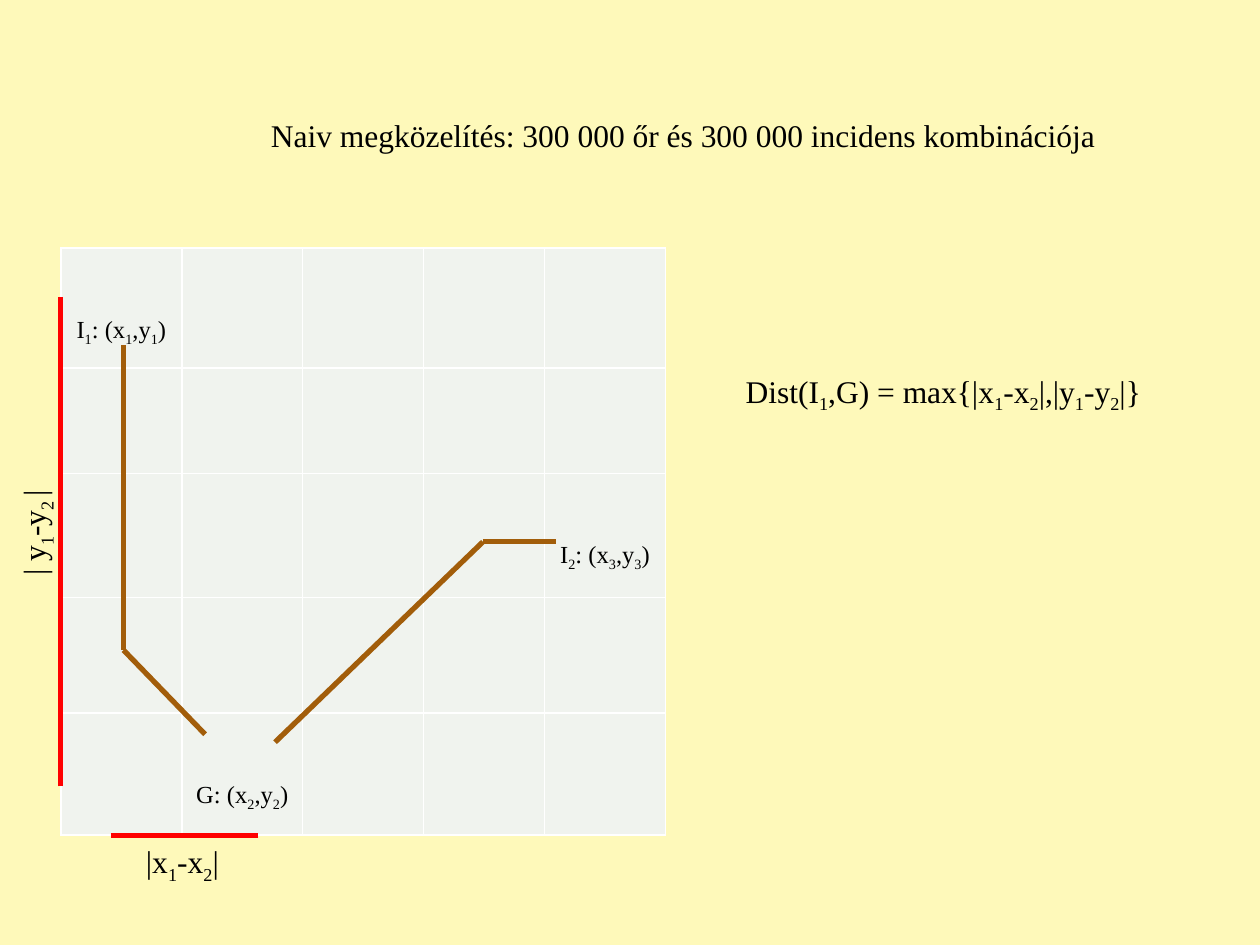
from lxml import etree
from pptx import Presentation
from pptx.dml.color import RGBColor
from pptx.enum import shapes, text
from pptx.oxml import ns
from pptx.util import Pt

CREAM = RGBColor(0xFE, 0xF9, 0xBA)
MIST = RGBColor(0xF0, 0xF3, 0xEE)
WHITE = RGBColor(0xFF, 0xFF, 0xFF)
BLACK = RGBColor(0, 0, 0)
BROWN = RGBColor(0xA2, 0x5D, 0x0A)
RED = RGBColor(0xFF, 0, 0)


class SlideBuilder:
    font_name = "Times New Roman"
    text_size = 18
    cell_size = 14
    line_width = 3

    def __init__(self, slide):
        self.slide = slide
        slide.background.fill.solid()
        slide.background.fill.fore_color.rgb = CREAM

    def set_wording(self, frame, wording, size):
        paragraph = frame.paragraphs[0]
        paragraph.font.name = self.font_name
        paragraph.font.size = Pt(size)
        paragraph.font.color.rgb = BLACK
        for index, piece in enumerate(wording.split("_")):
            run = paragraph.add_run()
            run.text = piece
            if index % 2:
                run._r.get_or_add_rPr().set("baseline", "-25000")
        return paragraph

    def fit(self, frame, wording):
        frame.word_wrap = False
        frame.auto_size = text.MSO_AUTO_SIZE.SHAPE_TO_FIT_TEXT
        frame.vertical_anchor = text.MSO_ANCHOR.TOP
        paragraph = self.set_wording(frame, wording, self.text_size)
        paragraph.alignment = text.PP_ALIGN.LEFT

    def title(self, wording, left, top, width, height):
        heading = self.slide.shapes.title
        heading.left, heading.top = Pt(left), Pt(top)
        heading.width, heading.height = Pt(width), Pt(height)
        self.fit(heading.text_frame, wording)

    def label(self, wording, left, top, width, height, rotation=0):
        box = self.slide.shapes.add_textbox(Pt(left), Pt(top), Pt(width), Pt(height))
        box.rotation = rotation
        self.fit(box.text_frame, wording)

    def border(self, cell):
        properties = cell._tc.get_or_add_tcPr()
        for index, side in enumerate(("lnL", "lnR", "lnT", "lnB")):
            edge = etree.Element(ns.qn(f"a:{side}"), w=str(Pt(1)))
            fill = etree.SubElement(edge, ns.qn("a:solidFill"))
            etree.SubElement(fill, ns.qn("a:srgbClr"), val=str(WHITE))
            properties.insert(index, edge)

    def grid(self, left, top, column_width, row_heights, points):
        count = len(row_heights)
        table = self.slide.shapes.add_table(
            count, count, Pt(left), Pt(top), Pt(column_width * count), Pt(sum(row_heights))
        ).table
        for column in table.columns:
            column.width = Pt(column_width)
        for row, height in zip(table.rows, row_heights):
            row.height = Pt(height)
        for cell in table.iter_cells():
            cell.fill.solid()
            cell.fill.fore_color.rgb = MIST
            self.border(cell)
        for (row, column), wording in points.items():
            frame = table.cell(row, column).text_frame
            paragraph = self.set_wording(frame, wording, self.cell_size)
            paragraph.alignment = text.PP_ALIGN.CENTER
            paragraph.line_spacing = 3.0

    def route(self, color, *stops):
        for start, end in zip(stops, stops[1:]):
            line = self.slide.shapes.add_connector(
                shapes.MSO_CONNECTOR.STRAIGHT, *map(Pt, start + end)
            )
            line.line.color.rgb = color
            line.line.width = Pt(self.line_width)
            etree.SubElement(line._element.spPr, ns.qn("a:effectLst"))


def main():
    presentation = Presentation()
    presentation.slide_width, presentation.slide_height = Pt(720), Pt(540)
    title_only = presentation.slide_layouts[5]
    builder = SlideBuilder(presentation.slides.add_slide(title_only))

    builder.title(
        "Naiv megközelítés: 300 000 őr és 300 000 incidens kombinációja",
        147.6, 62.8, 490.3, 29,
    )
    builder.label("Dist(I_1_,G) = max{|x_1_-x_2_|,|y_1_-y_2_|}", 419, 208.8, 250, 29)

    grid_left, grid_top = 34.8, 141.8
    row_heights = [68.4, 60.5, 70.8, 66, 69.8]
    grid_bottom = grid_top + sum(row_heights)
    points = {
        (0, 0): "I_1_: (x_1_,y_1_)",
        (2, 4): "I_2_: (x_3_,y_3_)",
        (4, 1): "G: (x_2_,y_2_)",
    }
    builder.grid(grid_left, grid_top, 69.1, row_heights, points)

    builder.route(BROWN, (117.2, 419.6), (70.6, 371.5), (70.6, 197.3))
    builder.route(BROWN, (157.2, 424.1), (276, 309.6), (318, 309.6))
    builder.route(RED, (grid_left, 449.3), (grid_left, 169.9))
    builder.route(RED, (147.6, grid_bottom), (63.2, grid_bottom))

    builder.label("|x_1_-x_2_|", 76.3, 477.4, 58.3, 29)
    builder.label("| y_1_-y_2 _|", -13.7, 288.9, 65.5, 29, rotation=270)

    presentation.save("out.pptx")


if __name__ == "__main__":
    main()
